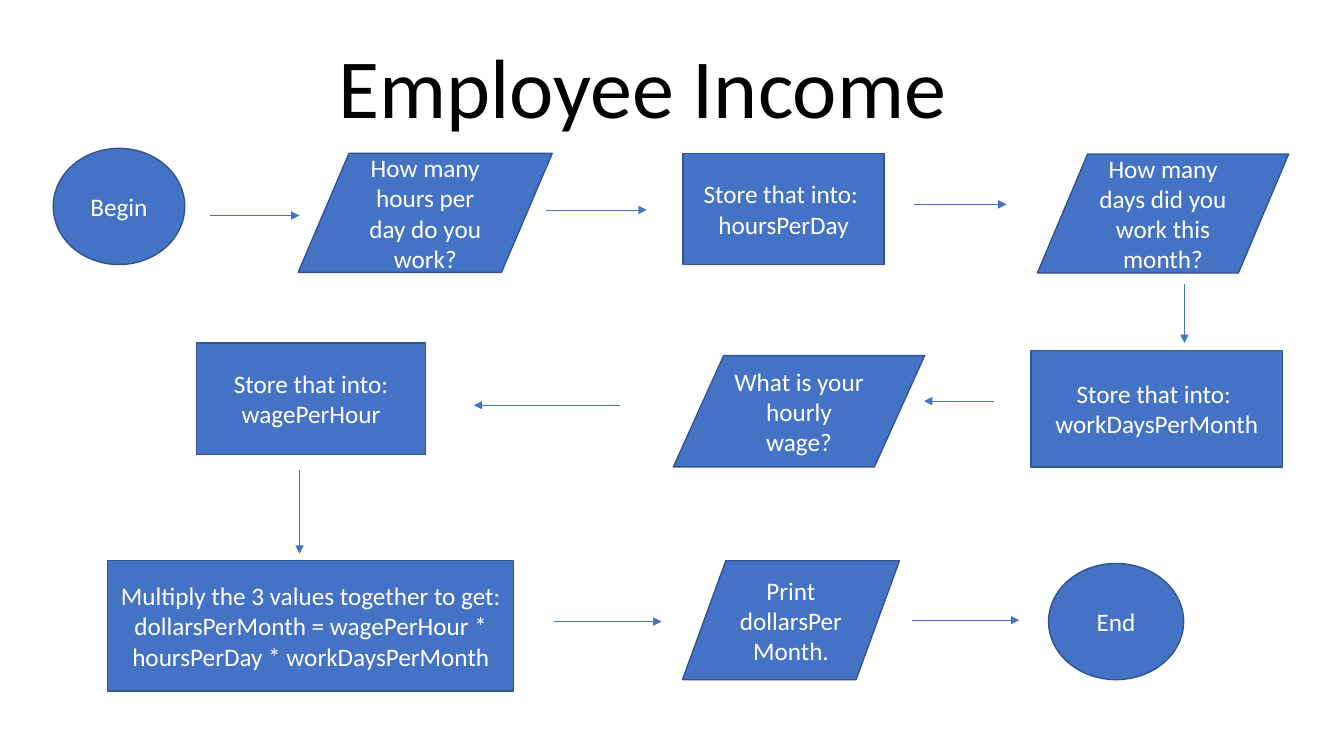
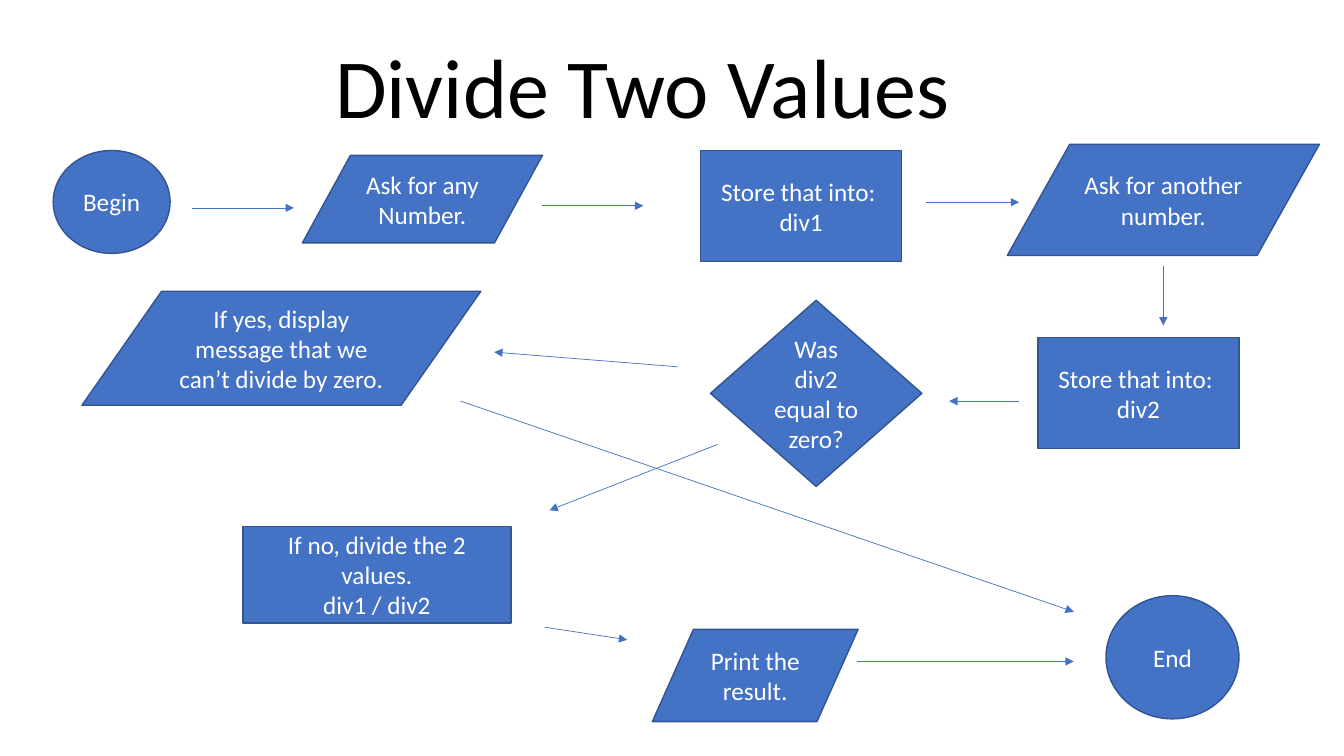
from lxml.etree import SubElement
from pptx import Presentation
from pptx.dml.color import RGBColor
from pptx.enum.shapes import MSO_CONNECTOR, MSO_SHAPE as Shape
from pptx.enum.text import MSO_ANCHOR as Anchor, MSO_AUTO_SIZE, PP_ALIGN as Align
from pptx.oxml.ns import qn
from pptx.util import Pt

COLORS = {
    "node": "4472C4",
    "outline": "325491",
    "arrow": "4472C4",
    "node_text": "FFFFFF",
    "title": "000000",
}


class Flowchart:
    """Holds the flowchart style and the current slide."""

    font_name = "Calibri"
    title_box = (189.5, 20, 538.5, 81.5)
    process_size = (143.5, 79.5)

    def __init__(self, presentation):
        self.presentation = presentation
        self.slide = None

    def color(self, name):
        return RGBColor.from_string(COLORS[name])

    def set_text(self, text_frame, text, size, color, anchor):
        text_frame.text = text
        text_frame.word_wrap = True
        text_frame.auto_size = MSO_AUTO_SIZE.NONE
        text_frame.vertical_anchor = anchor
        for paragraph in text_frame.paragraphs:
            paragraph.alignment = Align.CENTER
            paragraph.font.name = self.font_name
            paragraph.font.size = Pt(size)
            paragraph.font.color.rgb = self.color(color)

    def new_slide(self, title):
        layout = self.presentation.slide_layouts[5]
        self.slide = self.presentation.slides.add_slide(layout)
        shape = self.slide.shapes.title
        shape.left, shape.top, shape.width, shape.height = map(Pt, self.title_box)
        self.set_text(shape.text_frame, title, 60, "title", Anchor.BOTTOM)
        shape.text_frame.paragraphs[0].line_spacing = 0.9

    def node(self, kind, text, left, top, width, height):
        shape = self.slide.shapes.add_shape(kind, *map(Pt, (left, top, width, height)))
        shape.shadow.inherit = False
        shape.fill.solid()
        shape.fill.fore_color.rgb = self.color("node")
        shape.line.color.rgb = self.color("outline")
        shape.line.width = Pt(1)
        self.set_text(shape.text_frame, text, 18, "node_text", Anchor.MIDDLE)

    def terminal(self, text, *box):
        self.node(Shape.FLOWCHART_CONNECTOR, text, *box)

    def data(self, text, *box):
        self.node(Shape.FLOWCHART_DATA, text, *box)

    def decision(self, text, *box):
        self.node(Shape.FLOWCHART_DECISION, text, *box)

    def process(self, text, left, top, width=process_size[0], height=process_size[1]):
        self.node(Shape.FLOWCHART_PROCESS, text, left, top, width, height)

    def arrow(self, *ends):
        connector = self.slide.shapes.add_connector(
            MSO_CONNECTOR.STRAIGHT, *map(Pt, ends))
        connector.line.color.rgb = self.color("arrow")
        connector.line.width = Pt(0.5)
        properties = connector._element.spPr
        SubElement(properties.find(qn("a:ln")), qn("a:tailEnd"), type="triangle")
        SubElement(properties, qn("a:effectLst"))

    def arrows(self, *all_ends):
        for ends in all_ends:
            self.arrow(*ends)


def employee_income(chart):
    chart.new_slide("Employee Income")

    # Top row, left to right
    chart.terminal("Begin", 38, 106, 94, 83)
    chart.data("How many hours per day do you work?", 213, 109.5, 181.5, 85)
    chart.process("Store that into: \nhoursPerDay", 488, 109.5)
    chart.data("How many days did you work this month?", 741, 110, 179.5, 85)

    # Middle row, right to left
    chart.process("Store that into: \nworkDaysPerMonth", 736.5, 250.5, 179.5, 83)
    chart.data("What is your hourly wage?", 481, 254, 179.5, 79.5)
    chart.process("Store that into:\nwagePerHour", 140.5, 245, 163.5)

    # Bottom row, left to right
    chart.process(
        "Multiply the 3 values together to get:\n"
        "dollarsPerMonth = wagePerHour * hoursPerDay * workDaysPerMonth",
        77, 400.5, 290, 93)
    chart.data("Print dollarsPerMonth.", 487.5, 400.5, 155, 85)
    chart.terminal("End", 749, 402.5, 96.5, 83)

    # Arrows in reading order
    chart.arrows(
        (150, 154, 214, 154),
        (390, 150, 462, 150),
        (653, 146, 719, 146),
        (846, 203, 846, 245),
        (710, 286.5, 660, 286.5),
        (443, 289.5, 338.5, 289.5),
        (214, 336, 214, 395.5),
        (395.5, 444, 472.5, 444),
        (651.5, 443, 728, 443),
    )


def divide_two_values(chart):
    chart.new_slide("Divide Two Values")

    # Input of both numbers
    chart.terminal("Begin", 38, 107.5, 83.5, 73.5)
    chart.data("Ask for any Number.", 216, 111, 171.5, 62.5)
    chart.process("Store that into: \ndiv1", 500.5, 107.5)
    chart.data("Ask for another number.", 719.5, 103, 223, 79.5)
    chart.process("Store that into: \ndiv2", 741.5, 241)

    # Decision and its two branches
    chart.decision("Was div2 equal to zero?", 507.5, 214.5, 151, 133)
    chart.data("If yes, display message that we can’t divide by zero.",
               58.5, 208, 285, 81.5)
    chart.process("If no, divide the 2 values.\ndiv1 / div2", 173.5, 376, 191.5, 69)

    # Result
    chart.data("Print the result.", 466, 449.5, 147, 66)
    chart.terminal("End", 790, 425.5, 95, 88)

    # Arrows in reading order
    chart.arrows(
        (137, 148.5, 210, 148.5),
        (387.5, 147, 459.5, 147),
        (661.5, 144.5, 728, 144.5),
        (831, 190, 831, 232.5),
        (728, 286.5, 678, 286.5),
        (484, 262, 353, 251.5),
        (329, 286.5, 767, 437),
        (512.5, 317.5, 392.5, 364.5),
        (389, 448, 448, 457),
        (612.5, 472.5, 767, 472.5),
    )


def main():
    presentation = Presentation()
    presentation.slide_width = Pt(960)
    presentation.slide_height = Pt(540)
    chart = Flowchart(presentation)
    employee_income(chart)
    divide_two_values(chart)
    presentation.save("out.pptx")


if __name__ == "__main__":
    main()
